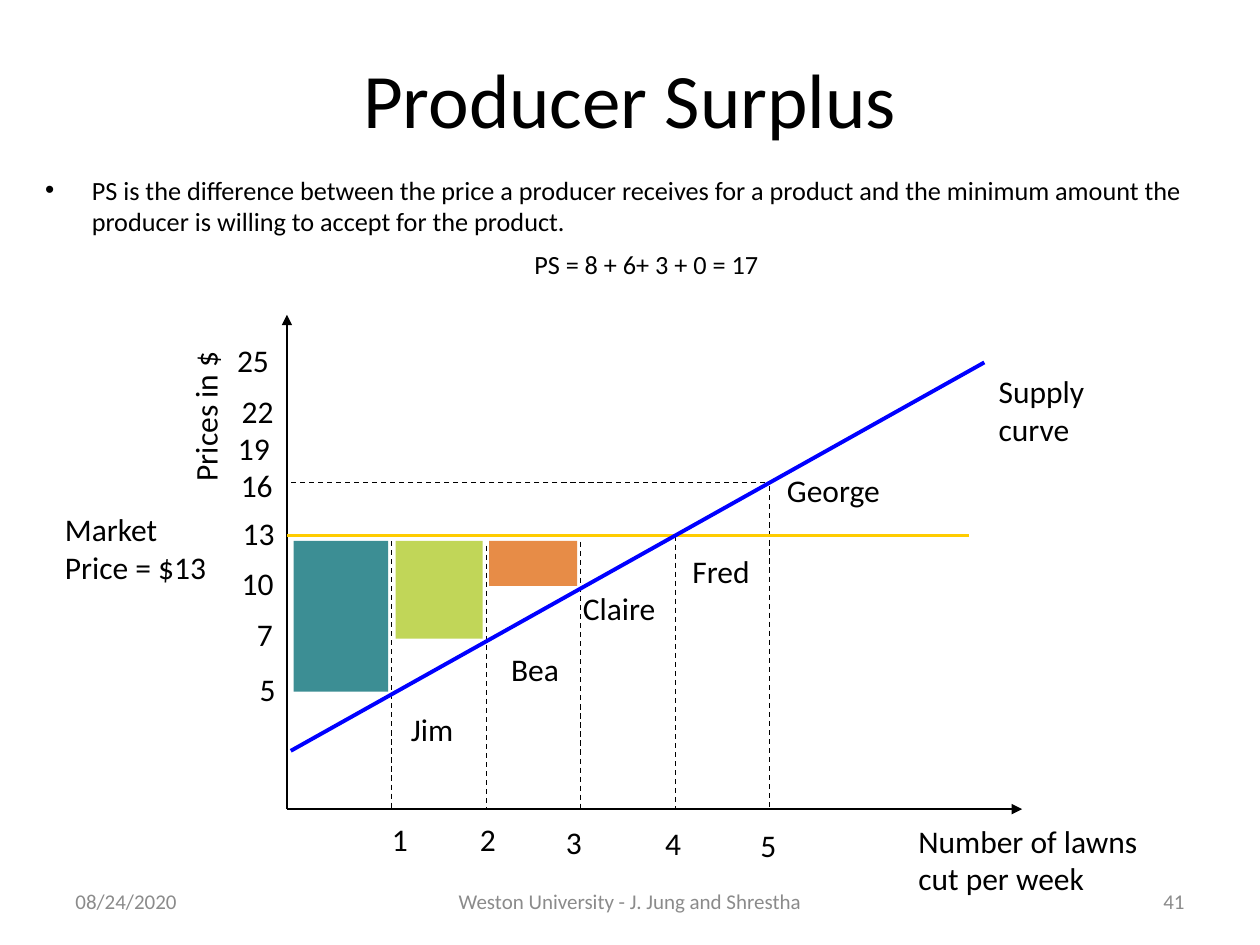
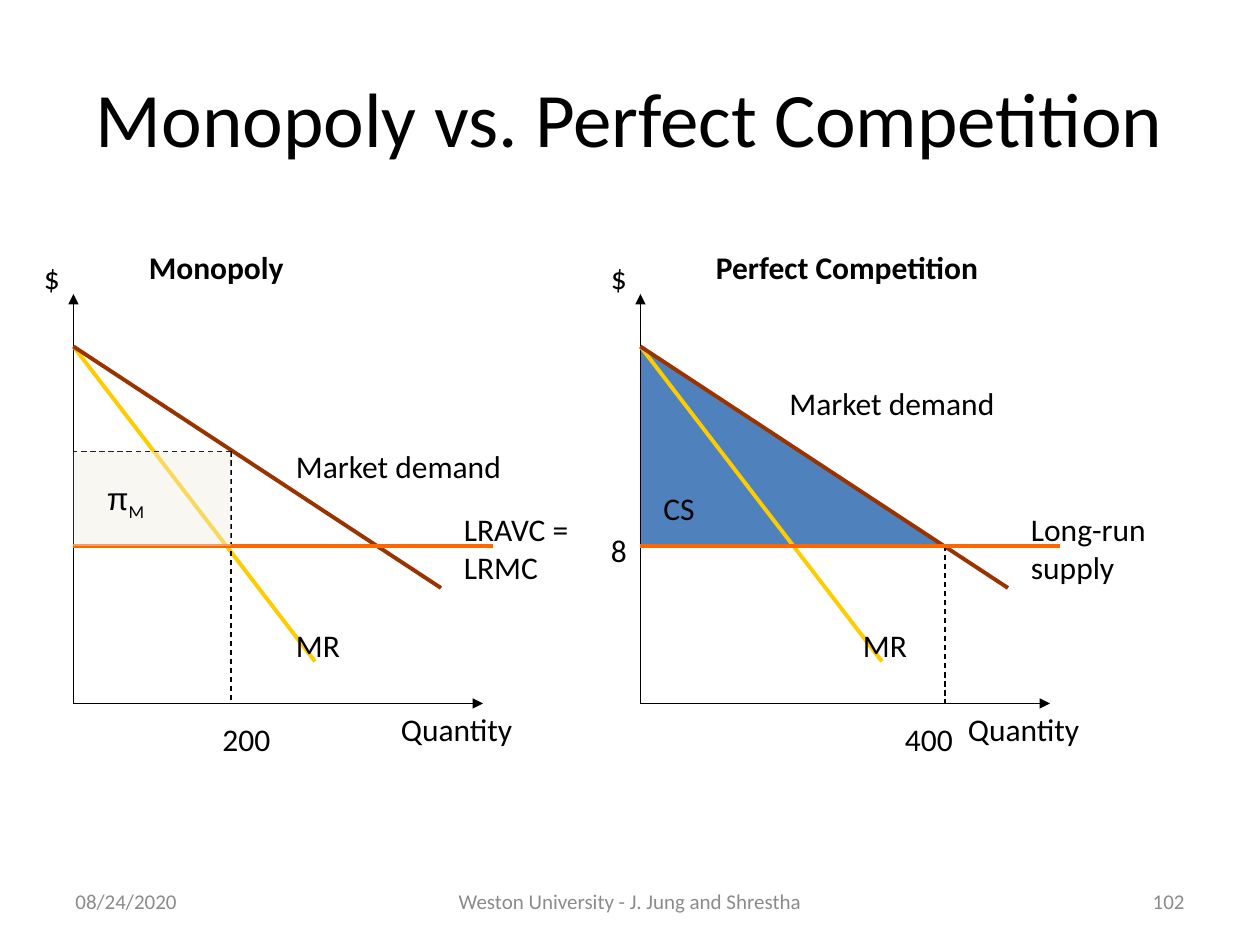
from dataclasses import dataclass

from lxml import etree
from pptx import Presentation
from pptx.dml.color import RGBColor
from pptx.enum.dml import MSO_LINE
from pptx.enum.shapes import MSO_CONNECTOR, MSO_SHAPE
from pptx.enum.text import MSO_ANCHOR, MSO_AUTO_SIZE, PP_ALIGN
from pptx.oxml.ns import qn
from pptx.util import Inches, Pt

LEFT, CENTER, RIGHT = PP_ALIGN.LEFT, PP_ALIGN.CENTER, PP_ALIGN.RIGHT
TOP, MIDDLE = MSO_ANCHOR.TOP, MSO_ANCHOR.MIDDLE
GROW = MSO_AUTO_SIZE.SHAPE_TO_FIT_TEXT
STRAIGHT, DASH = MSO_CONNECTOR.STRAIGHT, MSO_LINE.DASH
RECT, TRIANGLE = MSO_SHAPE.RECTANGLE, MSO_SHAPE.RIGHT_TRIANGLE

FONT = "Calibri"
COLORS = {
    "ink": "000000", "footer": "8B8B8B", "gold": "FFCC00", "supply": "0000FF",
    "demand": "993300", "cost": "FF6600", "surplus": "4F81BD", "profit": "EEECE1",
    "teal": "3C8E94", "lime": "C1D658", "orange": "E78C47",
}
FOOTER = "Weston University - J. Jung and Shrestha"
DATE = "08/24/2020"


@dataclass
class Grid:
    """Columns and rows, sized in inches, counted from a left top corner."""
    left: float
    top: float
    column: float
    row: float

    def point(self, col, row):
        return Inches(self.left + col * self.column), Inches(self.top + row * self.row)

    def box(self, col, row, cols, rows):
        return *self.point(col, row), Inches(cols * self.column), Inches(rows * self.row)


PAGE = Grid(0, 0, 1 / 12, 1 / 12)


def rgb(name):
    return RGBColor.from_string(COLORS[name])


def add_run(para, text, size, color="ink", bold=False, font=FONT):
    span = para.add_run()
    span.text = text
    span.font.name = font
    span.font.size = Pt(size)
    span.font.bold = bold
    span.font.color.rgb = rgb(color)
    return span


def add_text(page, place, text, size=18, color="ink", bold=False, align=LEFT, anchor=TOP):
    box = page.shapes.add_textbox(*place)
    frame = box.text_frame
    frame.word_wrap = True
    frame.vertical_anchor = anchor
    para = frame.paragraphs[0]
    para.alignment = align
    if text:
        add_run(para, text, size, color, bold)
    return box


def add_label(page, grid, text, col, row, cols, bold=False):
    """Graph label, one line high, that grows with its text."""
    left, top, width, _ = grid.box(col, row, cols, 1)
    box = add_text(page, (left, top, width, Inches(0.4)), text, bold=bold)
    box.text_frame.auto_size = GROW
    box.text_frame.paragraphs[0].space_before = Pt(9)
    return box


def add_line(page, grid, start, end, color="ink", width=0.75, dash=False, arrow=False):
    line = page.shapes.add_connector(STRAIGHT, *grid.point(*start), *grid.point(*end))
    line.line.color.rgb = rgb(color)
    line.line.width = Pt(width)
    if dash:
        line.line.dash_style = DASH
    properties = line._element.spPr
    if arrow:
        etree.SubElement(properties.find(qn("a:ln")), qn("a:tailEnd"), type="triangle")
    etree.SubElement(properties, qn("a:effectLst"))


def add_curve(page, grid, start, end, color):
    add_line(page, grid, start, end, color, width=2.25)


def add_axes(page, grid, origin, top, right):
    add_line(page, grid, origin, (origin[0], top), arrow=True)
    add_line(page, grid, origin, (right, origin[1]), arrow=True)


def add_area(page, grid, kind, place, color, opacity=None):
    area = page.shapes.add_shape(kind, *grid.box(*place))
    area.shadow.inherit = False
    area.fill.solid()
    area.fill.fore_color.rgb = rgb(color)
    area.line.fill.background()
    if opacity:
        shade = area._element.spPr.find(qn("a:solidFill"))[0]
        etree.SubElement(shade, qn("a:alpha"), val=str(opacity * 1000))
    return area


def start_page(deck, title, title_rows, number):
    """Add a slide with its title and its three footer parts."""
    page = deck.slides.add_slide(deck.slide_layouts.get_by_name("Title Only"))
    holder = page.shapes.title
    holder.left, holder.top, holder.width, holder.height = PAGE.box(6, 3.6, 108, title_rows)
    holder.text_frame.vertical_anchor = MIDDLE
    para = holder.text_frame.paragraphs[0]
    para.alignment = CENTER
    add_run(para, title, 44)
    for text, col, cols, align in ((DATE, 6, 28, LEFT), (FOOTER, 41, 38, CENTER),
                                   (number, 86, 28, RIGHT)):
        add_text(page, PAGE.box(col, 83.4, cols, 4.8), text, 12, "footer",
                 align=align, anchor=MIDDLE)
    return page


def add_definition(page, place):
    frame = add_text(page, place, "").text_frame
    definition, total = frame.paragraphs[0], frame.add_paragraph()
    add_run(definition, "PS is the difference between the price a producer receives for a "
            "product and the minimum amount the producer is willing to accept for the product.", 15)
    add_run(total, "PS = 8 + 6+ 3 + 0 = 17", 15)
    total.alignment = CENTER
    for para in (definition, total):
        para.space_before = Pt(6.4)
        indents = para._p.get_or_add_pPr()
        indents.set("marL", str(Inches(0.38)))
        indents.set("indent", str(Inches(-0.37)))
    bullet = definition._p.get_or_add_pPr()
    etree.SubElement(bullet, qn("a:buFont"), typeface="Arial")
    etree.SubElement(bullet, qn("a:buChar"), char="•")


def add_supply_graph(page, grid):
    """One column is one lawn; supply climbs one row with each lawn."""
    axis, bottom, price_row = -0.11, 9.17, 4

    def supply_row(lawn):
        return 8 - lawn

    add_axes(page, grid, (axis, bottom), -0.17, 7.67)
    for lawn, row in enumerate((4.1, 4.19, 4.12, 4, 3.07), 1):
        add_line(page, grid, (lawn, row), (lawn, bottom), dash=True)
    add_curve(page, grid, (7.11, price_row), (axis, price_row), "gold")
    add_curve(page, grid, (-0.07, supply_row(-0.07)), (7.27, supply_row(7.27)), "supply")
    add_line(page, grid, (4.95, 3), (axis, 3), dash=True)

    bars = (("teal", -0.04), ("lime", 1.04), ("orange", 2.03))
    for lawn, (color, left) in enumerate(bars, 1):
        top = price_row + 0.1
        add_area(page, grid, RECT,
                 (left, top, lawn - 0.04 - left, supply_row(lawn) - 0.05 - top), color)

    prices = ((25, -0.77, 0.21), (22, -0.72, 1.17), (19, -0.76, 1.88), (16, -0.73, 2.57),
              (13, -0.71, 3.48), (10, -0.72, 4.43), (7, -0.56, 5.38), (5, -0.53, 6.43))
    for price, col, row in prices:
        add_label(page, grid, str(price), col, row, 0.9 if price > 9 else 0.5)
    counts = ((0.87, 9.26), (1.8, 9.26), (2.71, 9.31), (3.76, 9.33), (4.77, 9.38))
    for lawn, (col, row) in enumerate(counts, 1):
        add_label(page, grid, str(lawn), col, row, 0.53)
    for text, col, row, cols in (
            ("Jim", 1.07, 7.19, 0.97), ("Bea", 2.13, 6.05, 0.92), ("Claire", 2.89, 4.9, 1.33),
            ("Fred", 4.05, 4.19, 1.37), ("George", 5.05, 2.67, 1.92),
            ("Supply curve", 7.29, 0.79, 1.6), ("Market Price = $13", -2.59, 3.4, 1.89),
            ("Number of lawns cut per week", 6.44, 9.29, 2.88)):
        add_label(page, grid, text, col, row, cols)
    title = add_label(page, grid, "Prices in $", -1.72, 0.69, 1.89)
    title.height = Inches(0.7)
    title.rotation = 270


def add_market_graph(page, grid, heading, demand_at, cost_name, quantity, quantity_at, drop):
    """Axes, demand, marginal revenue and cost, with a dashed drop to the quantity."""
    bottom, start, cost_row = 39, (0, 5), 24
    add_axes(page, grid, (0, bottom), 0, 39)
    add_curve(page, grid, start, (23, 35), "gold")
    add_curve(page, grid, start, (35, 28), "demand")
    add_line(page, grid, drop, (drop[0], bottom), dash=True)
    add_curve(page, grid, (40, cost_row), (0, cost_row), "cost")
    for text, col, row, cols in (
            ("$", -4, -4, 39), ("Market demand", *demand_at, 26), ("MR", 20, 31, 22),
            (cost_name, 36, 20, 15), ("Quantity", 30, 39, 26), (quantity, quantity_at, 40, 10)):
        add_label(page, grid, text, col, row, cols)
    add_label(page, grid, heading, 6, -5, 36, bold=True)


def add_monopoly(page, grid):
    sale = (15, 15)
    add_market_graph(page, grid, "Monopoly", (20, 14), "LRAVC = LRMC", "200", 13, sale)
    add_line(page, grid, sale, (0, sale[1]), dash=True)
    add_area(page, grid, RECT, (0, 15, 15, 9), "profit", opacity=41)
    profit = add_label(page, grid, "", 2, 17, 8).text_frame.paragraphs[0]
    add_run(profit, "π", 18, font="Arial")
    add_run(profit, "M", 18).font._element.set("baseline", "-25000")


def add_competition(page, grid):
    add_area(page, grid, TRIANGLE, (0, 5, 29, 19), "surplus")
    add_market_graph(page, grid, "Perfect Competition", (13, 8), "Long-run supply",
                     "400", 24, (29, 24))
    add_label(page, grid, "8", -4, 22, 5)
    add_area(page, grid, RECT, (1, 18, 8, 4.8), "surplus")
    add_label(page, grid, "CS", 1, 18, 8)


def main():
    deck = Presentation()
    deck.slide_width, deck.slide_height = Inches(10), Inches(7.5)

    page = start_page(deck, "Producer Surplus", 11.4, "41")
    add_definition(page, PAGE.box(3, 16, 117, 21))
    add_supply_graph(page, Grid(2.36, 2.57, 0.75, 0.42))

    page = start_page(deck, "Monopoly vs. Perfect Competition", 15, "102")
    for draw, left in ((add_monopoly, 7), (add_competition, 61)):
        draw(page, Grid(left / 12, 28 / 12, PAGE.column, PAGE.row))

    deck.save("out.pptx")


if __name__ == "__main__":
    main()
